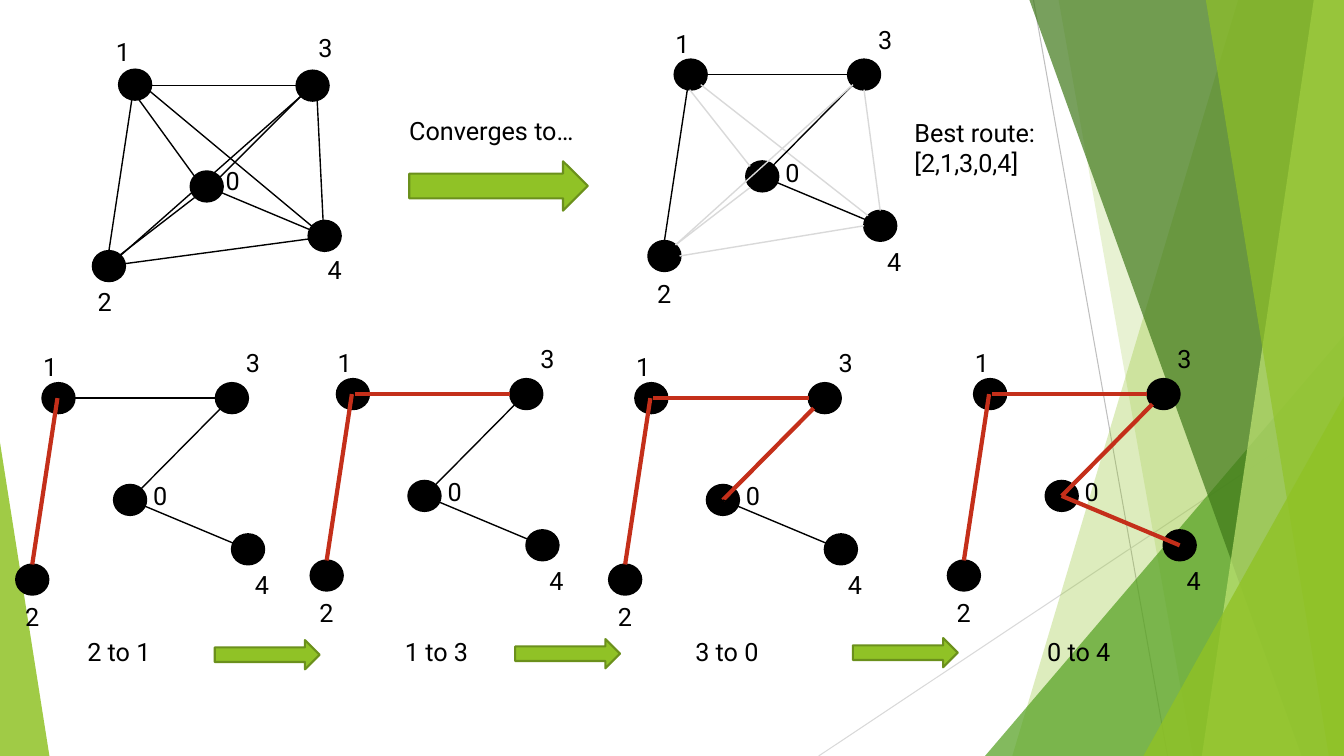
from lxml import etree
from pptx import Presentation
from pptx.dml.color import RGBColor
from pptx.enum import shapes, text
from pptx.oxml import ns
from pptx.util import Inches, Pt

BLACK = RGBColor(0x00, 0x00, 0x00)
RED = RGBColor(0xC4, 0x2F, 0x1A)
PALE_GRAY = RGBColor(0xD9, 0xD9, 0xD9)
GRAY = RGBColor(0xBF, 0xBF, 0xBF)
LIME = RGBColor(0x90, 0xC2, 0x26)
LIME_EDGE = RGBColor(0x6B, 0x90, 0x1C)
LIGHT_LIME = RGBColor(0xC0, 0xE4, 0x74)
GREEN = RGBColor(0x54, 0xA0, 0x21)
DARK_GREEN = RGBColor(0x3F, 0x78, 0x19)

FONT = "Roboto"
WIDTH, HEIGHT = 13.33, 7.5
NODE_W, NODE_H = 0.32, 0.3

# Offsets from the top left corner of node 1
NODES = {"1": (0, 0), "3": (1.72, 0), "0": (0.71, 1.01),
         "4": (1.88, 1.5), "2": (-0.26, 1.8)}
LABELS = {"1": (-0.09, -0.36), "3": (1.92, -0.4), "0": (1, 0.92),
          "4": (2.01, 1.8), "2": (-0.27, 2.12)}
EDGES = {
    "21": (0.15, 0.15, -0.1, 1.8),
    "14": (0.26, 0.25, 1.92, 1.55),
    "10": (0.15, 0.3, 0.75, 1.06),
    "13": (0.18, 0.15, 1.72, 0.15),
    "30": (0.87, 1.16, 1.77, 0.25),
    "20": (0.01, 1.84, 0.75, 1.27),
    "04": (2.04, 1.65, 0.87, 1.16),
    "42": (1.88, 1.65, 0.05, 1.95),
    "32": (1.77, 0.25, 0.01, 1.84),
    "34": (1.88, 0.3, 2.04, 1.5),
}
# The full network has node 3 a little further out
FULL_NODES = {**NODES, "3": (1.76, 0.01)}
FULL_LABELS = {n: (x - 0.04, y - 0.02) for n, (x, y) in LABELS.items()}
FULL_EDGES = {
    **EDGES,
    "14": (0.18, 0.11, 2.04, 1.66),
    "10": (0.09, 0.15, 0.75, 1.06),
    "13": (0.22, 0.16, 1.76, 0.16),
    "30": (0.9, 1.17, 1.81, 0.26),
    "42": (2.04, 1.66, -0.12, 1.95),
    "32": (1.81, 0.26, 0.01, 1.85),
    "34": (1.96, 0.18, 2.04, 1.81),
}
ROUTE = ["21", "13", "30", "04"]

# Each step: graph x, graph y, caption x, caption
STEPS = [(0.42, 3.8, 0.3, "2 to 1"), (3.34, 3.76, 3.45, "1 to 3"),
         (6.3, 3.8, 6.33, "3 to 0"), (9.66, 3.76, 9.82, "0 to 4")]
STEP_ARROWS = [(2.13, 6.35), (5.11, 6.34), (8.46, 6.33)]


def set_fill(sp, color, alpha=100):
    sp.shadow.inherit = False
    sp.fill.solid()
    sp.fill.fore_color.rgb = color
    if alpha < 100:
        clr = sp.fill._xPr.find(".//" + ns.qn("a:srgbClr"))
        etree.SubElement(clr, ns.qn("a:alpha"), val=str(alpha * 1000))


def add_preset(sl, kind, x, y, w, h, color, edge=None, alpha=100):
    sp = sl.shapes.add_shape(kind, Inches(x), Inches(y), Inches(w), Inches(h))
    set_fill(sp, color, alpha)
    if edge is None:
        sp.line.fill.background()
    else:
        sp.line.color.rgb = edge
        sp.line.width = Pt(1.5)
    return sp


def add_line(sl, x1, y1, x2, y2, color, width):
    line = sl.shapes.add_connector(shapes.MSO_CONNECTOR.STRAIGHT, Inches(x1),
                                   Inches(y1), Inches(x2), Inches(y2))
    line.line.color.rgb = color
    line.line.width = Pt(width)
    etree.SubElement(line._element.spPr, ns.qn("a:effectLst"))


def add_text(sl, x, y, w, h, words, align=text.PP_ALIGN.LEFT):
    tf = sl.shapes.add_textbox(Inches(x), Inches(y), Inches(w),
                               Inches(h)).text_frame
    tf.word_wrap = True
    tf.text = words
    for p in tf.paragraphs:
        p.alignment = align
        p.font.name = FONT
        p.font.size = Pt(18)
        p.font.color.rgb = BLACK


def add_arrow(sl, x, y, w, h):
    add_preset(sl, shapes.MSO_SHAPE.RIGHT_ARROW, x, y, w, h, LIME, LIME_EDGE)


def add_band(sl, top_x, bottom_x, color, alpha):
    """Band from a slanted left side to the right edge of the slide."""
    fb = sl.shapes.build_freeform(Inches(top_x), Inches(0))
    fb.add_line_segments([(Inches(x), Inches(y)) for x, y in (
        (WIDTH, 0), (WIDTH, HEIGHT), (bottom_x, HEIGHT))], close=True)
    sp = fb.convert_to_shape()
    set_fill(sp, color, alpha)
    sp.line.fill.background()


def add_corner(sl, x, top, w, apex, color, alpha):
    """Right triangle standing on the bottom edge of the slide."""
    sp = add_preset(sl, shapes.MSO_SHAPE.ISOSCELES_TRIANGLE, x, top, w,
                    HEIGHT - top, color, alpha=alpha)
    sp.adjustments[0] = apex


def add_backdrop(sl):
    add_line(sl, 10.25, 0, 11.58, HEIGHT, GRAY, 0.75)
    add_line(sl, WIDTH, 4.03, 8.12, HEIGHT, PALE_GRAY, 0.75)
    add_band(sl, 12.28, 10.04, LIME, 30)
    add_band(sl, 10.5, 11.83, LIME, 20)
    add_corner(sl, 9.77, 3.33, 3.56, 1, GREEN, 72)
    add_band(sl, 10.21, 12.91, DARK_GREEN, 70)
    add_band(sl, 13.03, 11.92, LIGHT_LIME, 70)
    add_band(sl, 11.96, 13.18, LIME, 65)
    add_corner(sl, 11.34, 3.93, 1.99, 1, LIME, 80)
    add_corner(sl, 0, 4.39, 0.49, 0, LIME, 85)


def add_graph(sl, x, y, styles, nodes=NODES, labels=LABELS, edges=EDGES):
    """Graph with node 1 at x, y; styles maps an edge to colour and width."""
    for dx, dy in nodes.values():
        add_preset(sl, shapes.MSO_SHAPE.OVAL, x + dx, y + dy, NODE_W, NODE_H,
                   BLACK, BLACK)
    for edge, (color, width) in styles.items():
        x1, y1, x2, y2 = edges[edge]
        add_line(sl, x + x1, y + y1, x + x2, y + y2, color, width)
    for name, (dx, dy) in labels.items():
        add_text(sl, x + dx, y + dy, 0.32, 0.4, name)


def main():
    prs = Presentation()
    prs.slide_width, prs.slide_height = Inches(WIDTH), Inches(HEIGHT)
    sl = prs.slides.add_slide(prs.slide_layouts[6])
    add_backdrop(sl)

    # Full network converging to the best route
    add_graph(sl, 1.18, 0.69, {e: (BLACK, 1) for e in EDGES},
              FULL_NODES, FULL_LABELS, FULL_EDGES)
    add_text(sl, 3.96, 1.09, 2.05, 0.4, "Converges to…")
    add_arrow(sl, 4.06, 1.6, 1.77, 0.49)
    add_graph(sl, 6.69, 0.59, {e: (BLACK if e in ROUTE else PALE_GRAY, 1)
                               for e in EDGES})
    add_text(sl, 8.97, 1.11, 2.81, 0.71, "Best route:\n[2,1,3,0,4]")

    # Route walked one edge at a time
    for i, (x, y, caption_x, caption) in enumerate(STEPS):
        add_graph(sl, x, y, {e: (RED, 3) if k <= i else (BLACK, 1)
                             for k, e in enumerate(ROUTE)})
        add_text(sl, caption_x, 6.26, 1.76, 0.4, caption,
                 text.PP_ALIGN.CENTER)
    for x, y in STEP_ARROWS:
        add_arrow(sl, x, y, 1.04, 0.29)

    prs.save("out.pptx")


if __name__ == "__main__":
    main()
